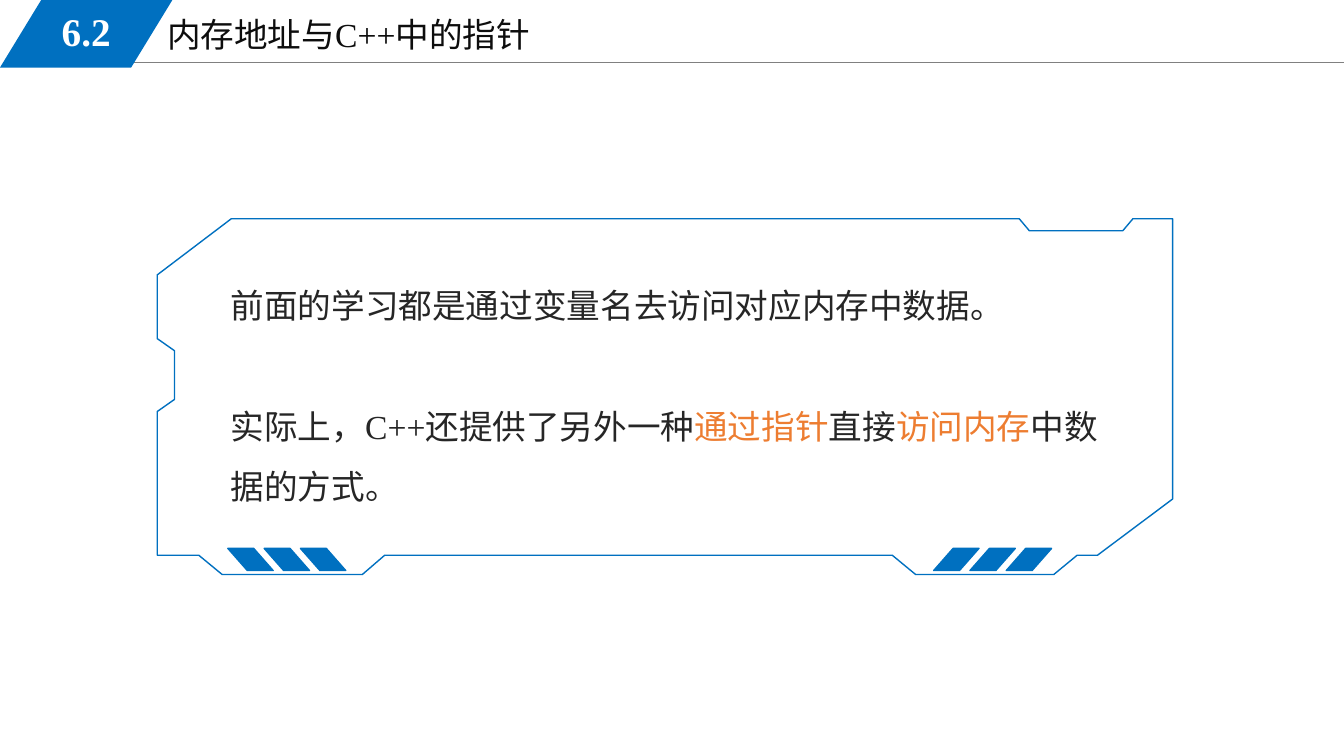
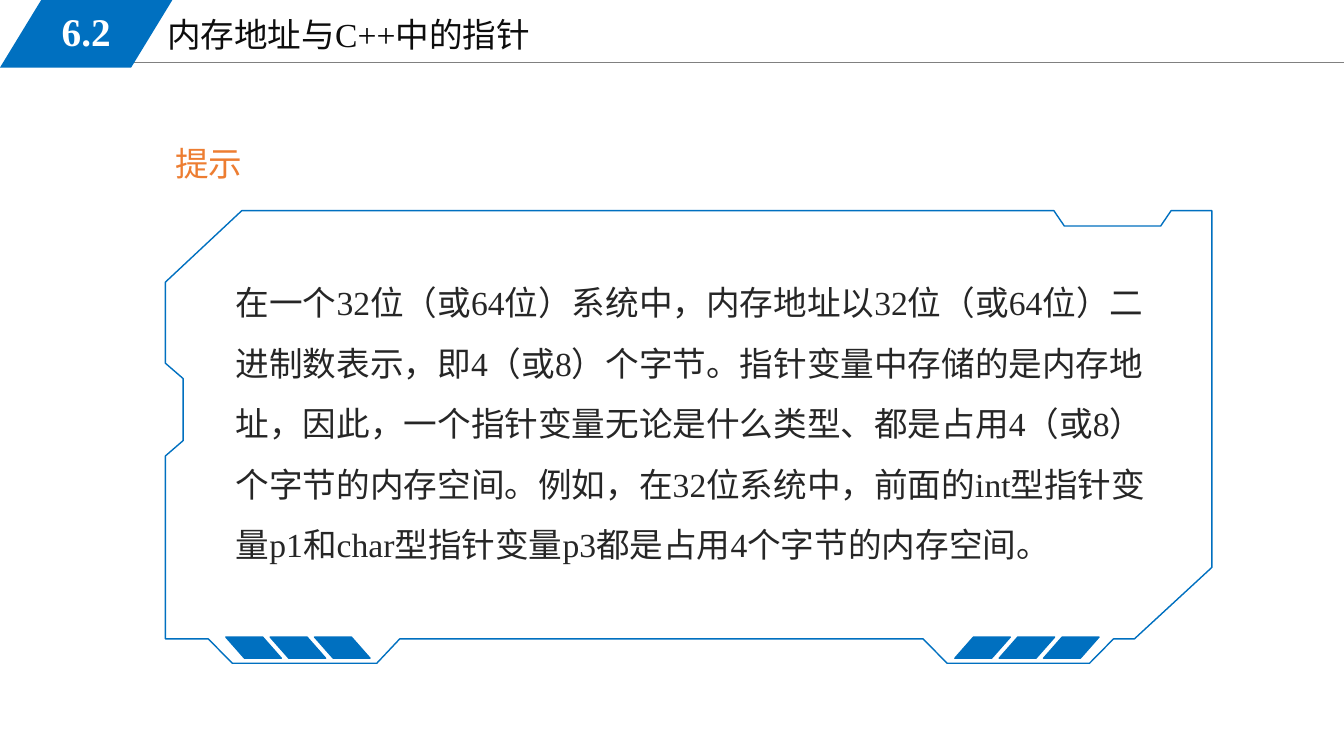
from pptx import Presentation
from pptx.dml import color
from pptx.enum import shapes, text
from pptx.oxml import parse_xml
from pptx.oxml.ns import nsdecls
from pptx.util import Inches, Pt

WIDTH, HEIGHT = 13.33, 7.5
BLUE, ORANGE, GREY = "0070C0", "ED7D31", "808080"
TITLE_INK, BODY_INK, WHITE = "0D0D0D", "262626", "FFFFFF"
FONT = "Times New Roman"
SLANT = 0.88
FRAME_OUTLINE = [
    (74.7, 100), (88.3, 100), (90.6, 94.6), (92.6, 94.6), (100, 78.8), (100, 0),
    (96.1, 0), (95.1, 3.4), (85.9, 3.4), (84.9, 0), (7.3, 0), (0, 15.8),
    (0, 33.7), (1.7, 37.1), (1.7, 50.8), (0, 54.2), (0, 94.6), (4.1, 94.6),
    (6.4, 100), (20.2, 100), (22.4, 94.6), (72.4, 94.6),
]


def rgb(value):
    """Turn a hex string into a colour."""
    return color.RGBColor.from_string(value)


def add_text(slide, box, paragraphs, size=24, bold=False, spacing=1.0, gap=0,
             align=text.PP_ALIGN.LEFT, anchor=text.MSO_ANCHOR.TOP):
    """Write paragraphs of (wording, colour) runs into a box."""
    frame = slide.shapes.add_textbox(*map(Inches, box)).text_frame
    frame.word_wrap = True
    frame.vertical_anchor = anchor
    for index, runs in enumerate(paragraphs):
        paragraph = frame.add_paragraph() if index else frame.paragraphs[0]
        paragraph.alignment = align
        paragraph.line_spacing = spacing
        if index:
            paragraph.space_before = Pt(gap)
        for wording, ink in runs:
            run = paragraph.add_run()
            run.text = wording
            run.font.name, run.font.size, run.font.bold = FONT, Pt(size), bold
            run.font.color.rgb = rgb(ink)


def add_parallelogram(slide, box, slant, outlined=False, mirrored=False):
    """Draw a blue parallelogram, mirrored if it leans left."""
    shape = slide.shapes.add_shape(shapes.MSO_SHAPE.PARALLELOGRAM, *map(Inches, box))
    shape.adjustments[0] = slant
    shape.shadow.inherit = False
    shape.fill.solid()
    shape.fill.fore_color.rgb = rgb(BLUE)
    if outlined:
        shape.line.color.rgb = rgb(BLUE)
        shape.line.width = Pt(1)
    else:
        shape.line.fill.background()
    if mirrored:
        shape.element.spPr.xfrm.set("flipH", "1")


def add_header(slide, number, title):
    """Draw the rule, the title and the numbered tab."""
    rule = slide.shapes.add_connector(
        shapes.MSO_CONNECTOR.STRAIGHT,
        *map(Inches, (1.13, 0.62, WIDTH, 0.62)))
    rule.line.color.rgb = rgb(GREY)
    rule.line.width = Pt(0.75)
    rule.element.spPr.append(parse_xml(f"<a:effectLst {nsdecls('a')}/>"))
    add_text(slide, (1.56, 0.09, 5.67, 0.51), [[(title, TITLE_INK)]])
    add_parallelogram(slide, (0, 0, 1.71, 0.67), 0.61)
    add_text(slide, (0.25, 0.02, 1.21, 0.58), [[(number, WHITE)]], size=28, bold=True,
             align=text.PP_ALIGN.CENTER, anchor=text.MSO_ANCHOR.MIDDLE)


def add_frame(slide, box, bar_starts, bar_size, pitch):
    """Draw the notched frame with three slanted bars at each lower corner."""
    left, top, width, height = box
    points = [(Inches(left + width * x / 100), Inches(top + height * y / 100))
              for x, y in FRAME_OUTLINE]
    builder = slide.shapes.build_freeform(*points[0])
    builder.add_line_segments(points[1:], close=True)
    outline = builder.convert_to_shape()
    outline.shadow.inherit = False
    outline.fill.background()
    outline.line.color.rgb = rgb(BLUE)
    outline.line.width = Pt(1)
    for start, mirrored in zip(bar_starts, (True, False)):
        for index in range(3):
            bar = (left + start + index * pitch, top + height - 0.26, *bar_size)
            add_parallelogram(slide, bar, SLANT, outlined=True, mirrored=mirrored)


def add_framed_slide(presentation, frame, text_box, paragraphs, heading=None, **bars):
    """Add a slide with the header and a framed text."""
    slide = presentation.slides.add_slide(presentation.slide_layouts[6])
    add_header(slide, "6.2", "内存地址与C++中的指针")
    left, top, width, height = text_box
    add_text(slide, (frame[0] + left, frame[1] + top, width, height), paragraphs,
             spacing=1.5, gap=43)
    add_frame(slide, frame, **bars)
    if heading:
        add_text(slide, (frame[0], frame[1] - 0.72, 5.99, 0.5), [[(heading, ORANGE)]])


def main():
    """Build and save both slides."""
    presentation = Presentation()
    presentation.slide_width = Inches(WIDTH)
    presentation.slide_height = Inches(HEIGHT)
    add_framed_slide(
        presentation, (1.56, 2.17, 10.07, 3.53), (0.63, 0.41, 8.91, 2.52),
        [[("前面的学习都是通过变量名去访问对应内存中数据。", BODY_INK)],
         [("实际上，C++还提供了另外一种", BODY_INK), ("通过指针", ORANGE),
          ("直接", BODY_INK), ("访问内存", ORANGE), ("中数据的方式。", BODY_INK)]],
        bar_starts=(0.7, 7.7), bar_size=(0.45, 0.22), pitch=0.36)
    add_framed_slide(
        presentation, (1.64, 2.09, 10.38, 4.49), (0.6, 0.46, 9.45, 3.06),
        [[("在一个32位（或64位）系统中，内存地址以32位（或64位）二进制数表示，"
           "即4（或8）个字节。指针变量中存储的是内存地址，因此，一个指针变量无论是"
           "什么类型、都是占用4（或8）个字节的内存空间。例如，在32位系统中，前面的"
           "int型指针变量p1和char型指针变量p3都是占用4个字节的内存空间。", BODY_INK)]],
        heading="提示", bar_starts=(0.6, 7.83), bar_size=(0.55, 0.21), pitch=0.44)
    presentation.save("out.pptx")


if __name__ == "__main__":
    main()
